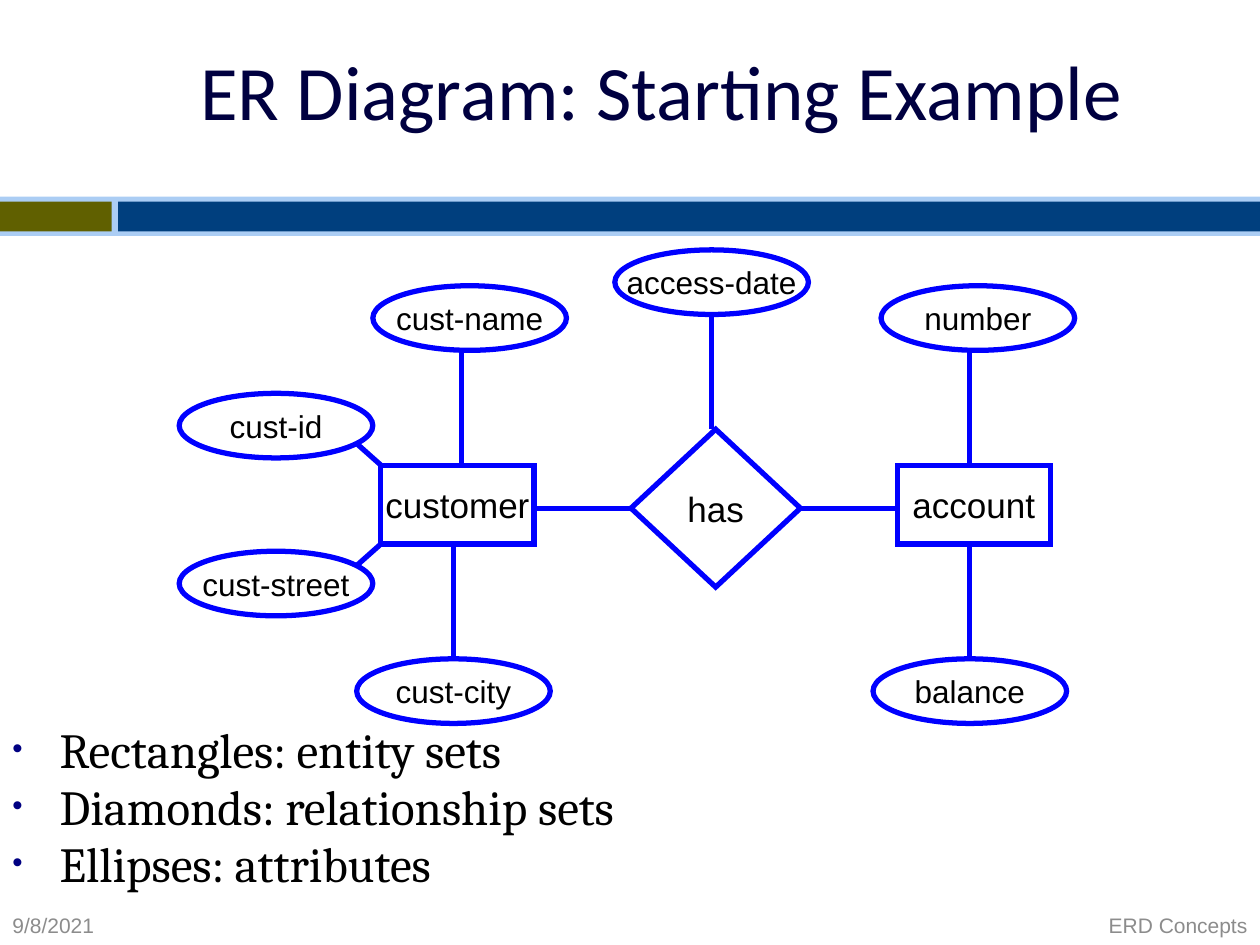
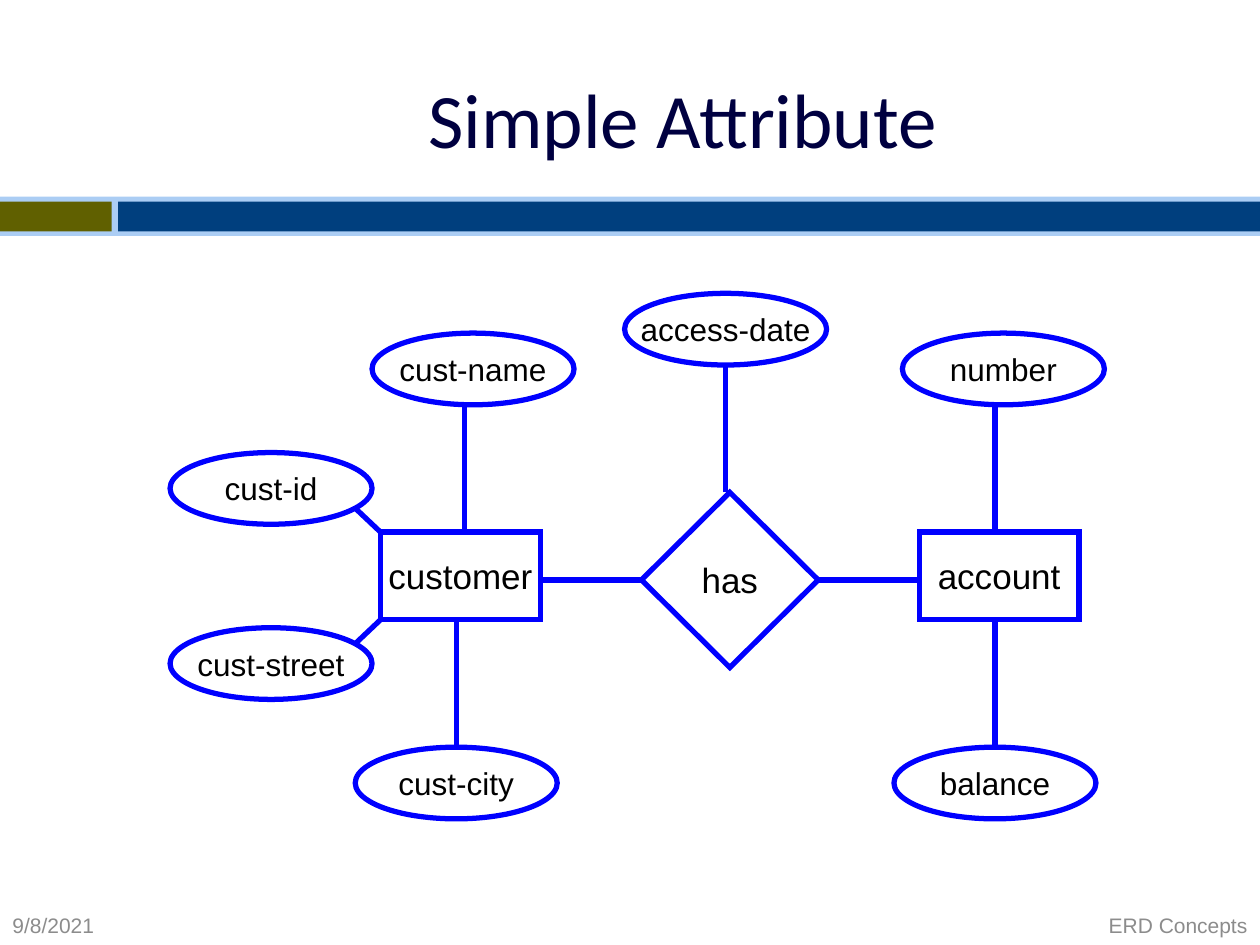
from dataclasses import dataclass
from typing import Any, Optional

from lxml.etree import SubElement
from pptx import Presentation
from pptx.dml.color import RGBColor
from pptx.enum.shapes import MSO_CONNECTOR as CXN, MSO_SHAPE as SHAPE
from pptx.enum.text import MSO_ANCHOR as ANCHOR, PP_ALIGN as ALIGN
from pptx.oxml.ns import qn
from pptx.util import Pt

# Shared look
BAND_BACK, OLIVE, NAVY = "ABCDF4", "606000", "003F7E"
TITLE_INK, BLUE, INK, GREY, BULLET = "000040", "0000FF", "000000", "8C8C8C", "000082"
TITLE_FONT = {"name": "Calibri", "size": Pt(44)}
BODY_FONT = {"name": "Cambria", "size": Pt(28)}
ENTITY_FONT = {"name": "Arial", "size": Pt(20)}
ATTRIBUTE_FONT = {"name": "Arial", "size": Pt(18)}
FOOTER_FONT = {"name": "Arial", "size": Pt(12)}
BODY_PARAGRAPH = {"line_spacing": 0.8, "space_before": Pt(5.6)}


@dataclass(frozen=True)
class Box:
    left: float
    top: float
    width: float
    height: float

    def lengths(self) -> tuple:
        return Pt(self.left), Pt(self.top), Pt(self.width), Pt(self.height)


@dataclass(frozen=True)
class NodeKind:
    shape: Any
    width: int  # grid columns
    height: int  # grid rows
    font: dict


@dataclass(frozen=True)
class Node:
    name: str
    kind: NodeKind
    col: int
    row: int


@dataclass(frozen=True)
class Link:
    x1: int
    y1: int
    x2: int
    y2: int
    end: Optional[str] = None  # node joined at the end point
    site: int = 0


@dataclass(frozen=True)
class Grid:
    left: float
    top: float
    col: float
    row: float

    def x(self, col: int) -> float:
        return self.left + col * self.col

    def y(self, row: int) -> float:
        return self.top + row * self.row


@dataclass(frozen=True)
class SlidePlan:
    title: str
    title_box: Box
    grid: Grid
    bullets: tuple = ()


# The customer-account diagram, in grid units
ENTITY = NodeKind(SHAPE.RECTANGLE, 19, 11, ENTITY_FONT)
RELATIONSHIP = NodeKind(SHAPE.DIAMOND, 21, 22, ENTITY_FONT)
ATTRIBUTE = NodeKind(SHAPE.OVAL, 24, 9, ATTRIBUTE_FONT)
NODES = [
    Node("customer", ENTITY, 25, 30),
    Node("has", RELATIONSHIP, 56, 25),
    Node("account", ENTITY, 89, 30),
    Node("cust-street", ATTRIBUTE, 0, 42),
    Node("cust-id", ATTRIBUTE, 0, 20),
    Node("cust-name", ATTRIBUTE, 24, 5),
    Node("cust-city", ATTRIBUTE, 22, 57),
    Node("balance", ATTRIBUTE, 86, 57),
    Node("number", ATTRIBUTE, 87, 5),
    Node("access-date", ATTRIBUTE, 54, 0),
]
LINKS = [
    Link(44, 36, 56, 36, "has", 1),
    Link(89, 36, 77, 36, "has", 3),
    Link(35, 14, 35, 30),
    Link(34, 41, 34, 57, "cust-city", 0),
    Link(22, 27, 25, 30),
    Link(25, 41, 22, 44),
    Link(98, 41, 98, 57, "balance", 0),
    Link(98, 14, 98, 30),
    Link(66, 25, 66, 9),
]
BANDS = [
    (Box(0, 112.4, 720, 22.4), BAND_BACK),
    (Box(0, 115.3, 63.9, 16.9), OLIVE),
    (Box(67.5, 115.3, 652.5, 16.9), NAVY),
]
FOOTERS = [
    ("9/8/2021", Box(0, 517.7, 142, 22.3), ALIGN.LEFT),
    ("ERD Concepts", Box(493, 517.7, 227, 22.3), ALIGN.RIGHT),
]
PLANS = [
    SlidePlan("ER Diagram: Starting Example", Box(54, 6, 648, 90),
              Grid(102.4, 142.8, 4.61, 4.1),
              ("Rectangles: entity sets", "Diamonds: relationship sets",
               "Ellipses: attributes")),
    SlidePlan("Simple Attribute", Box(66.3, 22.5, 648, 90),
              Grid(97.2, 167.6, 4.81, 4.55)),
]


def rgb(value: str) -> RGBColor:
    return RGBColor.from_string(value)


def apply(target: Any, values: dict) -> None:
    for key, value in values.items():
        setattr(target, key, value)


def write(p: Any, text: str, font: dict, color: str, align: Any = None) -> None:
    r = p.add_run()
    r.text = text
    p.alignment = align
    apply(r.font, font)
    r.font.color.rgb = rgb(color)


def add_text(slide: Any, box: Box, text: str, font: dict, color: str, align: Any) -> None:
    tf = slide.shapes.add_textbox(*box.lengths()).text_frame
    apply(tf, {"word_wrap": True, "vertical_anchor": ANCHOR.MIDDLE})
    write(tf.paragraphs[0], text, font, color, align)


def add_bullet(p: Any) -> None:
    pPr = p._p.get_or_add_pPr()
    pPr.set("marL", str(Pt(27)))
    pPr.set("indent", str(Pt(-27)))
    SubElement(SubElement(pPr, qn("a:buClr")), qn("a:srgbClr"), val=BULLET)
    SubElement(pPr, qn("a:buSzPct"), val="60000")
    SubElement(pPr, qn("a:buFont"), typeface="Arial")
    SubElement(pPr, qn("a:buChar"), char="•")


def add_bullets(slide: Any, bullets: tuple) -> None:
    tf = slide.shapes.add_textbox(*Box(0, 414, 450, 102).lengths()).text_frame
    tf.word_wrap = True
    for i, text in enumerate(bullets):
        p = tf.add_paragraph() if i else tf.paragraphs[0]
        apply(p, BODY_PARAGRAPH)
        add_bullet(p)
        write(p, text, BODY_FONT, INK)


def add_frame(slide: Any) -> None:
    """Draw the band and the footers that every slide carries."""
    for box, color in BANDS:
        sp = slide.shapes.add_shape(SHAPE.RECTANGLE, *box.lengths())
        sp.shadow.inherit = False
        sp.fill.solid()
        sp.fill.fore_color.rgb = rgb(color)
        sp.line.fill.background()
    for text, box, align in FOOTERS:
        add_text(slide, box, text, FOOTER_FONT, GREY, align)


def style_line(line: Any) -> None:
    line.color.rgb = rgb(BLUE)
    line.width = Pt(3)


def add_node(slide: Any, node: Node, grid: Grid) -> Any:
    kind = node.kind
    box = Box(grid.x(node.col), grid.y(node.row),
              kind.width * grid.col, kind.height * grid.row)
    sp = slide.shapes.add_shape(kind.shape, *box.lengths())
    sp.shadow.inherit = False
    sp.fill.background()
    style_line(sp.line)
    # Sharp corners
    SubElement(sp._element.spPr.find(qn("a:ln")), qn("a:miter"), lim="800000")
    tf = sp.text_frame
    apply(tf, {"word_wrap": False, "vertical_anchor": ANCHOR.MIDDLE})
    write(tf.paragraphs[0], node.name, kind.font, INK, ALIGN.CENTER)
    return sp


def add_link(slide: Any, link: Link, grid: Grid, nodes: dict) -> None:
    cxn = slide.shapes.add_connector(
        CXN.STRAIGHT, Pt(grid.x(link.x1)), Pt(grid.y(link.y1)),
        Pt(grid.x(link.x2)), Pt(grid.y(link.y2)))
    style_line(cxn.line)
    SubElement(cxn._element.spPr, qn("a:effectLst"))
    if link.end:
        cxn.end_connect(nodes[link.end], link.site)


def add_diagram(slide: Any, grid: Grid) -> None:
    nodes = {node.name: add_node(slide, node, grid) for node in NODES}
    for link in LINKS:
        add_link(slide, link, grid, nodes)


def main() -> None:
    prs = Presentation()
    apply(prs, {"slide_width": Pt(720), "slide_height": Pt(540)})
    for plan in PLANS:
        slide = prs.slides.add_slide(prs.slide_layouts[6])
        add_frame(slide)
        add_text(slide, plan.title_box, plan.title, TITLE_FONT, TITLE_INK, ALIGN.CENTER)
        if plan.bullets:
            add_bullets(slide, plan.bullets)
        add_diagram(slide, plan.grid)
    prs.save("out.pptx")


if __name__ == "__main__":
    main()
